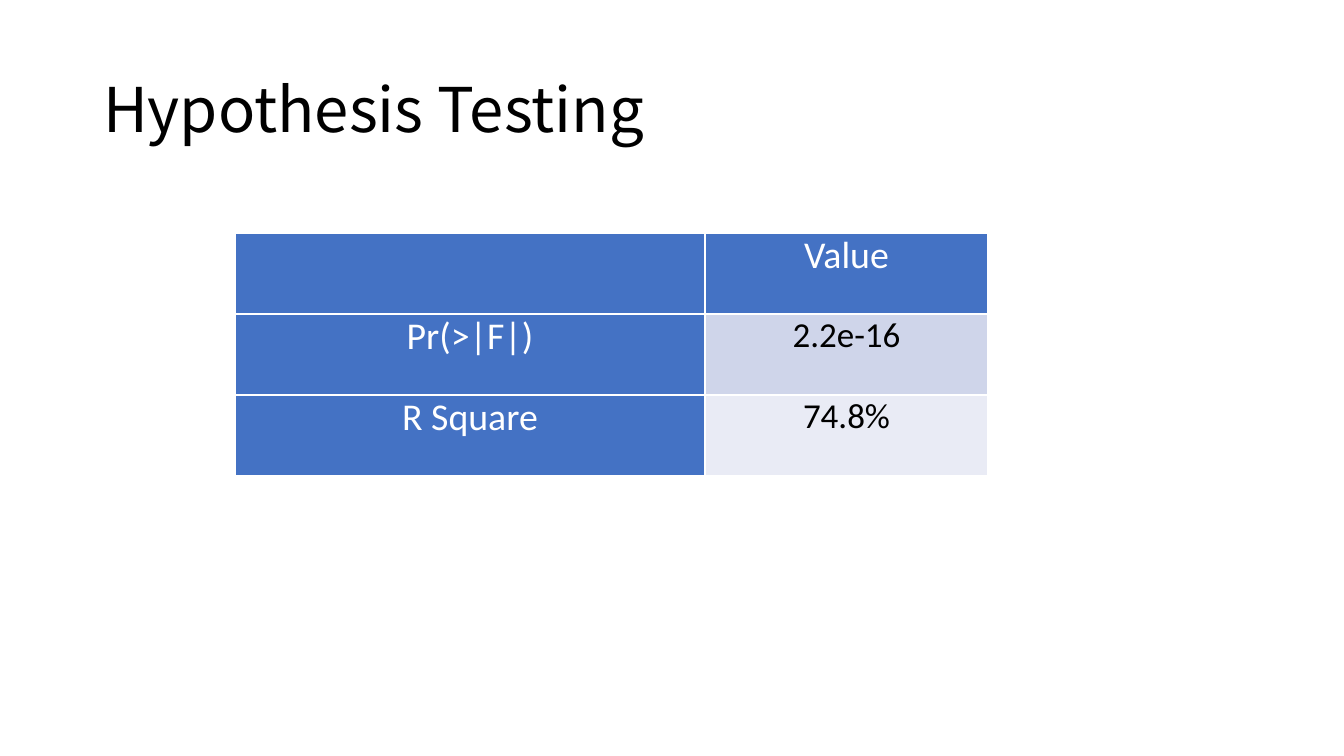
"""Build the hypothesis testing slide with its table of results."""
from lxml.etree import SubElement
from pptx import Presentation
from pptx.dml.color import RGBColor
from pptx.enum.text import MSO_ANCHOR as ANCHOR, PP_ALIGN as ALIGN
from pptx.oxml.ns import qn
from pptx.util import Emu, Pt

BLACK = RGBColor(0x00, 0x00, 0x00)
WHITE = RGBColor(0xFF, 0xFF, 0xFF)
BLUE = RGBColor(0x44, 0x72, 0xC4)
BAND_DARK = RGBColor(0xCF, 0xD5, 0xEA)
BAND_LIGHT = RGBColor(0xE9, 0xEB, 0xF5)


def px(n):
    return Emu(round(n * 914400 / 100.8))


class Deck:
    title_font = "Noto Sans CJK SC"
    body_font = "Calibri"
    title_size = 44
    header_size = 27
    value_size = 25

    def __init__(self, width, height):
        self.prs = Presentation()
        self.prs.slide_width, self.prs.slide_height = px(width), px(height)
        self.slide = self.prs.slides.add_slide(self.prs.slide_layouts[5])

    def run(self, p, text, font, size, color):
        r = p.add_run()
        r.text = text
        r.font.name = font
        r.font.size = Pt(size)
        r.font.bold = False
        r.font.color.rgb = color

    def title(self, text, x, y, w, h):
        sp = self.slide.shapes.title
        sp.left, sp.top, sp.width, sp.height = map(px, (x, y, w, h))
        tf = sp.text_frame
        tf.word_wrap = True
        tf.vertical_anchor = ANCHOR.MIDDLE
        p = tf.paragraphs[0]
        p.alignment = ALIGN.LEFT
        p.line_spacing = 0.9
        self.run(p, text, self.title_font, self.title_size, BLACK)

    def borders(self, cell):
        tc_pr = cell._tc.get_or_add_tcPr()
        for side in "LRTB":
            ln = SubElement(tc_pr, qn(f"a:ln{side}"), w=str(Pt(1)))
            fill = SubElement(ln, qn("a:solidFill"))
            SubElement(fill, qn("a:srgbClr"), val=str(WHITE))

    def cell(self, cell, text, is_header, fill):
        self.borders(cell)
        cell.fill.solid()
        cell.fill.fore_color.rgb = fill
        cell.margin_left = cell.margin_right = px(17)
        cell.margin_top = cell.margin_bottom = 0
        p = cell.text_frame.paragraphs[0]
        p.alignment = ALIGN.CENTER
        if text:
            size = self.header_size if is_header else self.value_size
            color = WHITE if is_header else BLACK
            self.run(p, text, self.body_font, size, color)

    def table(self, rows, x, y, col_widths, row_height):
        frame = self.slide.shapes.add_table(
            len(rows), len(col_widths), px(x), px(y),
            px(sum(col_widths)), px(row_height * len(rows)))
        table = frame.table
        table.first_row = table.horz_banding = False
        for column, width in zip(table.columns, col_widths):
            column.width = px(width)
        for i, row in enumerate(rows):
            table.rows[i].height = px(row_height)
            band = BAND_DARK if i % 2 else BAND_LIGHT
            for j, text in enumerate(row):
                is_header = i == 0 or j == 0
                self.cell(table.cell(i, j), text, is_header,
                          BLUE if is_header else band)


deck = Deck(1344, 756)
deck.title("Hypothesis Testing", 93, 40, 1159, 146)
results = [("", "Value"), ("Pr(>|F|)", "2.2e-16"), ("R Square", "74.8%")]
deck.table(results, 235, 233, (470, 283), 81)
deck.prs.save("out.pptx")
